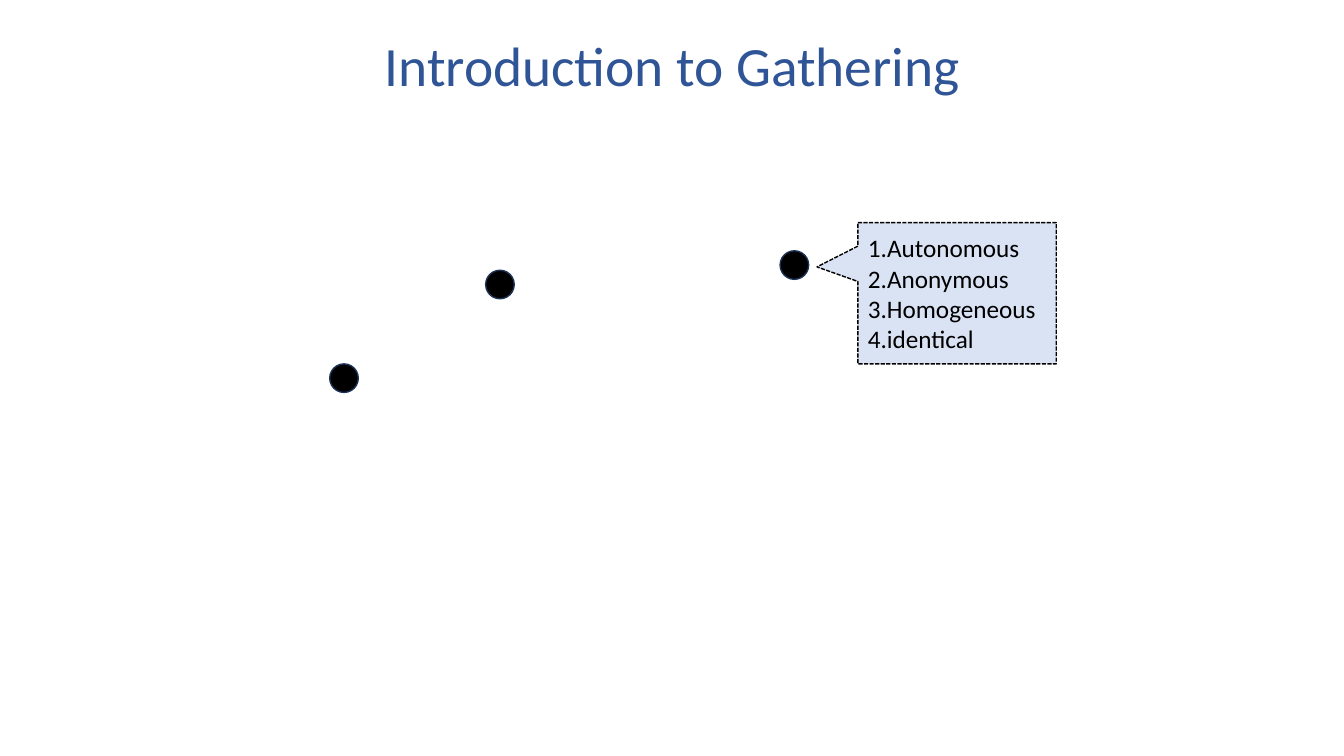
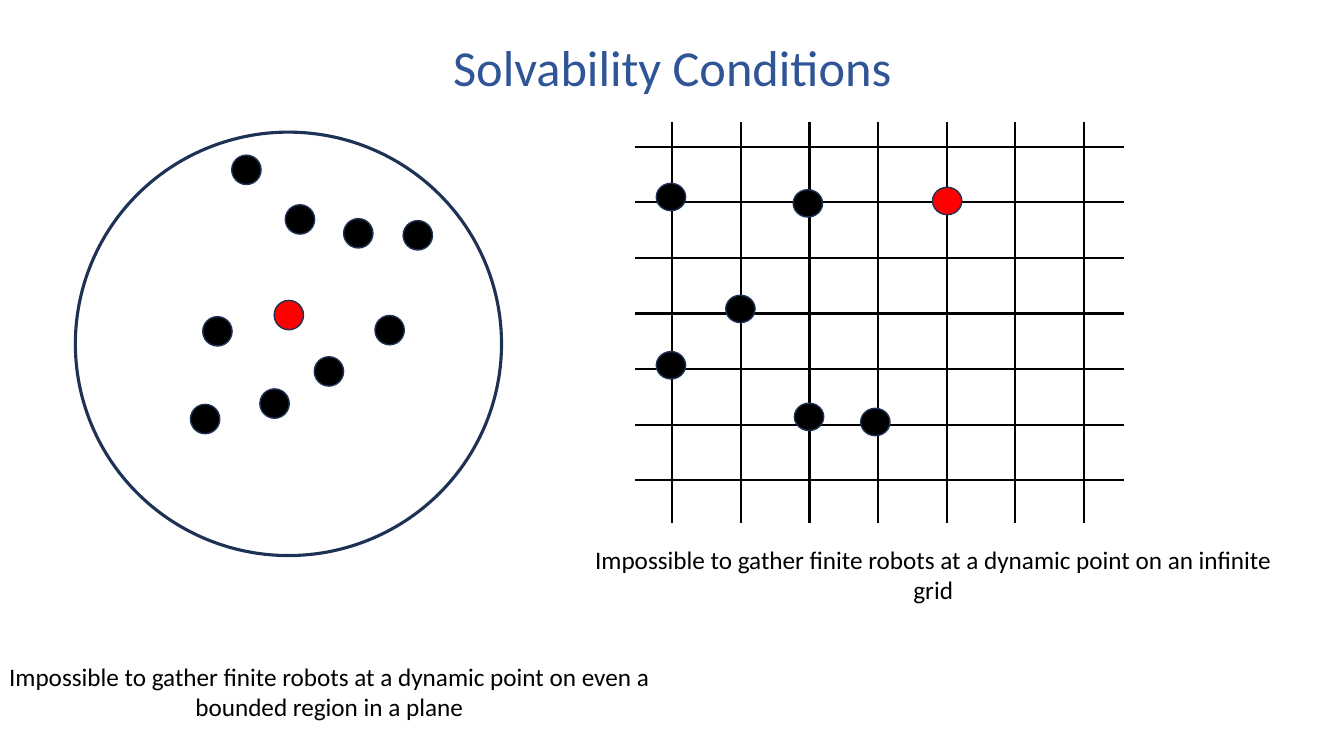
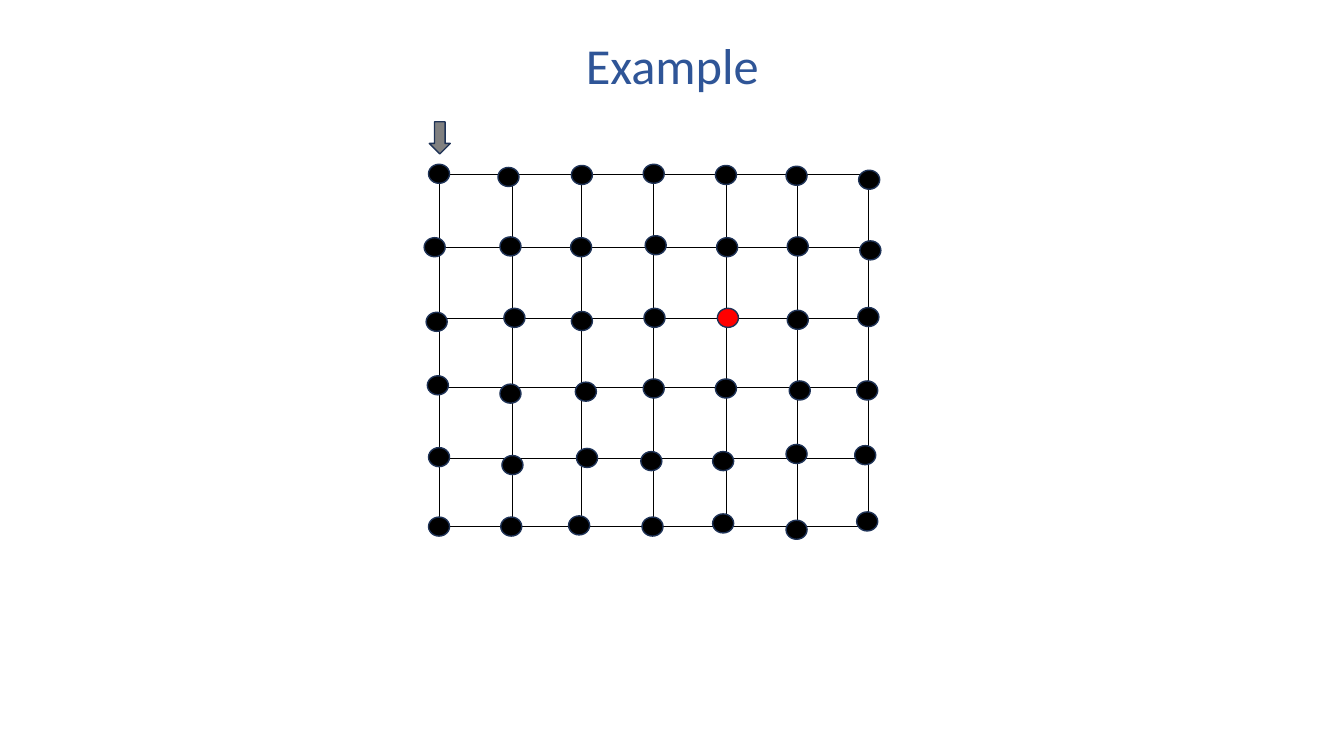
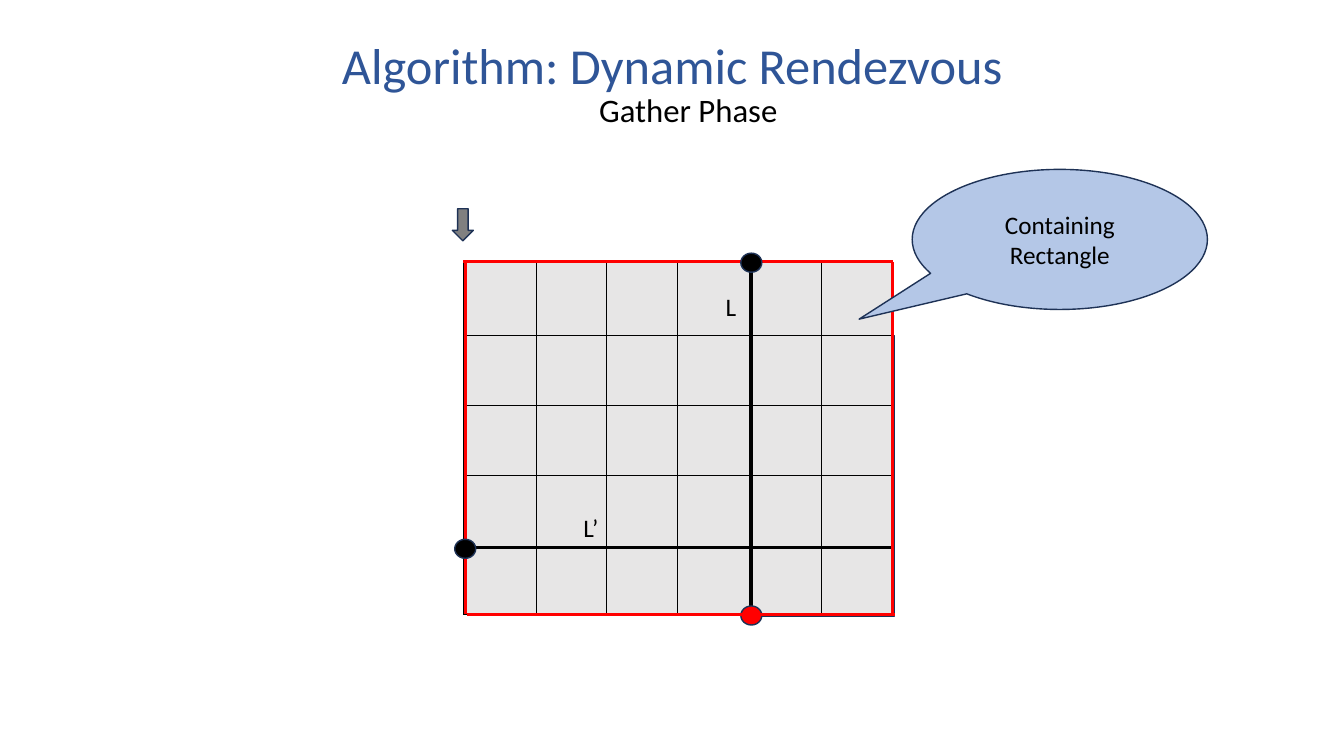
from lxml import etree
from pptx import Presentation
from pptx.dml.color import RGBColor
from pptx.enum.dml import MSO_LINE
from pptx.enum.shapes import MSO_CONNECTOR, MSO_SHAPE
from pptx.enum.text import MSO_ANCHOR, PP_ALIGN
from pptx.oxml.ns import qn
from pptx.util import Cm, Pt

OVAL, RECT, ARROW = MSO_SHAPE.OVAL, MSO_SHAPE.RECTANGLE, MSO_SHAPE.DOWN_ARROW
BOX_CALLOUT = MSO_SHAPE.RECTANGULAR_CALLOUT
OVAL_CALLOUT = MSO_SHAPE.OVAL_CALLOUT
STRAIGHT = MSO_CONNECTOR.STRAIGHT
LEFT, CENTER, MIDDLE = PP_ALIGN.LEFT, PP_ALIGN.CENTER, MSO_ANCHOR.MIDDLE

FONT = "Calibri"
BLACK = RGBColor(0x00, 0x00, 0x00)
RED = RGBColor(0xFF, 0x00, 0x00)
BLUE = RGBColor(0x2F, 0x55, 0x97)
NAVY = RGBColor(0x1E, 0x32, 0x56)
GRAY = RGBColor(0x80, 0x80, 0x80)
LIGHT_GRAY = RGBColor(0xE7, 0xE6, 0xE6)
PALE_BLUE = RGBColor(0xDA, 0xE3, 0xF3)
SOFT_BLUE = RGBColor(0xB4, 0xC7, 0xE7)

# Robot sizes: in the plane, on the infinite grid, on the finite grid
PLANE_ROBOT = (0.74, 0.74)
GRID_ROBOT = (0.74, 0.69)
NODE_ROBOT = (0.53, 0.48)


def add_figure(slide, kind, left, top, width, height, fill=None, line=NAVY):
    figure = slide.shapes.add_shape(kind, Cm(left), Cm(top), Cm(width), Cm(height))
    figure.shadow.inherit = False
    if fill is None:
        figure.fill.background()
    else:
        figure.fill.solid()
        figure.fill.fore_color.rgb = fill
    figure.line.color.rgb = line
    figure.line.width = Pt(1)
    return figure


def add_line(slide, x1, y1, x2, y2, width, color=BLACK):
    line = slide.shapes.add_connector(STRAIGHT, Cm(x1), Cm(y1), Cm(x2), Cm(y2))
    line.line.color.rgb = color
    line.line.width = Pt(width)
    etree.SubElement(line._element.spPr, qn("a:effectLst"))


prs = Presentation()
prs.slide_width, prs.slide_height = Cm(33.87), Cm(19.05)
intro, solvability, example, algorithm = [
    prs.slides.add_slide(prs.slide_layouts[6]) for _ in range(4)]

# Introduction: three robots and their properties
for left, top in [(8.31, 9.17), (19.66, 6.32), (12.24, 6.81)]:
    add_figure(intro, OVAL, left, top, 0.72, 0.72, BLACK)
properties = add_figure(intro, BOX_CALLOUT, 21.62, 5.61, 5, 3.56, PALE_BLUE, BLACK)
properties.line.dash_style = MSO_LINE.SQUARE_DOT
properties.adjustments[0], properties.adjustments[1] = -0.706, -0.186

# Solvability: bounded region of the plane
region = add_figure(solvability, OVAL, 1.9, 3.33, 10.74, 10.67)
region.line.width = Pt(2.25)
plane_robots = [(5.84, 3.91), (5.11, 7.98), (7.92, 8.99), (7.19, 5.16), (8.66, 5.51),
                (10.16, 5.56), (9.45, 7.95), (6.55, 9.8), (4.8, 10.19)]
for left, top in plane_robots:
    add_figure(solvability, OVAL, left, top, *PLANE_ROBOT, BLACK)
add_figure(solvability, OVAL, 6.91, 7.57, *PLANE_ROBOT, RED)

# Solvability: infinite grid
for i in range(7):
    row, column = 3.7 + 1.4 * i, 16.94 + 1.73 * i
    add_line(solvability, 16, row, 28.32, row, 1.5)
    add_line(solvability, column, 3.07, column, 13.18, 1.5)
grid_robots = [(16.54, 4.62), (16.54, 8.86), (18.29, 7.44), (21.69, 10.29),
               (19.99, 4.78), (20.02, 10.16)]
for left, top in grid_robots:
    add_figure(solvability, OVAL, left, top, *GRID_ROBOT, BLACK)
add_figure(solvability, OVAL, 23.5, 4.72, *GRID_ROBOT, RED)

# Algorithm: nested rectangles behind the grid
rectangles = [
    (20.75, 13.77, 1.8, 1.75), (20.73, 11.99, 1.8, 3.48), (18.95, 11.96, 3.56, 3.56),
    (18.85, 10.21, 3.68, 5.26), (17.07, 10.21, 5.41, 5.26), (15.32, 10.21, 7.21, 5.26),
    (13.51, 10.21, 8.99, 5.26), (11.71, 10.21, 10.82, 5.26), (11.73, 8.46, 10.82, 7.01),
    (11.68, 6.6, 10.82, 8.89)]
for rectangle in rectangles:
    add_figure(algorithm, RECT, *rectangle, LIGHT_GRAY)

# Example and algorithm: the same finite grid, marked by an arrow
COLUMNS = [0, 1.83, 3.59, 5.39, 7.24, 9.03, 10.81]
ROWS = [0, 1.85, 3.62, 5.38, 7.16, 8.87]
for slide, x, y, arrow_left, arrow_top in [(example, 11.07, 4.39, 10.82, 3.07),
                                           (algorithm, 11.68, 6.6, 11.4, 5.26)]:
    for row in ROWS:
        add_line(slide, x, y + row, x + COLUMNS[-1], y + row, 0.5)
    for column in COLUMNS:
        add_line(slide, x + column, y, x + column, y + ROWS[-1], 0.5)
    add_figure(slide, ARROW, arrow_left, arrow_top, 0.53, 0.81, GRAY)

# Example: a robot on every node, placed by hand
node_robots = [
    [(10.8, 4.14), (12.55, 4.22), (14.4, 4.17), (16.21, 4.14),
     (18.03, 4.17), (19.81, 4.19), (21.64, 4.29)],
    [(10.69, 5.99), (12.6, 5.97), (14.38, 5.99), (16.26, 5.94),
     (18.06, 5.99), (19.84, 5.97), (21.67, 6.07)],
    [(10.74, 7.87), (12.7, 7.77), (14.4, 7.85), (16.23, 7.77),
     (18.08, 7.77), (19.84, 7.82), (21.62, 7.75)],
    [(10.77, 9.47), (12.6, 9.68), (14.5, 9.63), (16.21, 9.55),
     (18.03, 9.55), (19.89, 9.6), (21.59, 9.6)],
    [(10.8, 11.28), (12.65, 11.48), (14.53, 11.3), (16.15, 11.38),
     (17.96, 11.38), (19.81, 11.2), (21.54, 11.23)],
    [(10.8, 13.03), (12.62, 13.03), (14.33, 13), (16.18, 13.03),
     (17.96, 12.95), (19.81, 13.11), (21.59, 12.9)]]
for r, robots in enumerate(node_robots):
    for c, (left, top) in enumerate(robots):
        color = RED if (r, c) == (2, 4) else BLACK
        add_figure(example, OVAL, left, top, *NODE_ROBOT, color)

# Algorithm: lines L and L’, containing rectangle, robots
add_line(algorithm, 18.92, 6.6, 18.92, 15.47, 3)
add_line(algorithm, 11.73, 13.79, 22.53, 13.79, 2.25)
add_figure(algorithm, OVAL, 18.67, 15.27, *NODE_ROBOT, RED)
add_line(algorithm, 22.5, 6.6, 22.5, 15.47, 2.25, RED)
containing = add_figure(algorithm, OVAL_CALLOUT, 22.99, 4.27, 7.44, 3.53, SOFT_BLUE)
containing.adjustments[0], containing.adjustments[1] = -0.68, 0.569
for x1, y1, x2, y2 in [(11.68, 6.6, 22.5, 6.6), (11.73, 6.6, 11.73, 15.47),
                       (11.76, 15.49, 22.56, 15.49)]:
    add_line(algorithm, x1, y1, x2, y2, 2.25, RED)
for left, top in [(18.67, 6.38), (11.46, 13.59)]:
    add_figure(algorithm, OVAL, left, top, *NODE_ROBOT, BLACK)

# Text boxes: titles, subtitle, captions, line labels
texts = [
    (properties, ["1.Autonomous", "2.Anonymous", "3.Homogeneous", "4.identical"],
     18, BLACK, LEFT, 1),
    (containing, ["Containing Rectangle"], 18, BLACK, CENTER, 1)]
for slide, box, text, size, color, spacing in [
        (intro, (2.34, 1.02, 29.21, 1.42), "Introduction to Gathering", 39.6, BLUE, 0.9),
        (solvability, (2.34, 1.02, 29.21, 1.52), "Solvability Conditions", 36, BLUE, 0.9),
        (example, (2.34, 0.97, 29.21, 1.52), "Example", 36, BLUE, 0.9),
        (algorithm, (2.34, 0.97, 29.21, 1.52), "Algorithm: Dynamic Rendezvous", 36, BLUE, 0.9),
        (algorithm, (2.74, 2.06, 29.21, 1.52), "Gather Phase", 23.4, BLACK, 0.9),
        (solvability, (-1.02, 16.15, 18.64, 2.54),
         "Impossible to gather finite robots at a dynamic point on even a bounded region in a plane",
         18, BLACK, 1),
        (solvability, (14.2, 13.21, 18.64, 2.54),
         "Impossible to gather finite robots at a dynamic point on an infinite grid",
         18, BLACK, 1),
        (algorithm, (17.86, 7.26, 1.12, 0.91), "L", 18, BLACK, 1),
        (algorithm, (14.33, 12.83, 1.12, 0.91), "L’", 18, BLACK, 1)]:
    holder = slide.shapes.add_textbox(*[Cm(length) for length in box])
    texts.append((holder, [text], size, color, CENTER, spacing))

for holder, lines, size, color, alignment, spacing in texts:
    frame = holder.text_frame
    frame.word_wrap = True
    frame.vertical_anchor = MIDDLE
    frame.text = "\n".join(lines)
    for paragraph in frame.paragraphs:
        paragraph.alignment = alignment
        paragraph.line_spacing = spacing
        paragraph.font.name = FONT
        paragraph.font.size = Pt(size)
        paragraph.font.color.rgb = color

prs.save("out.pptx")
